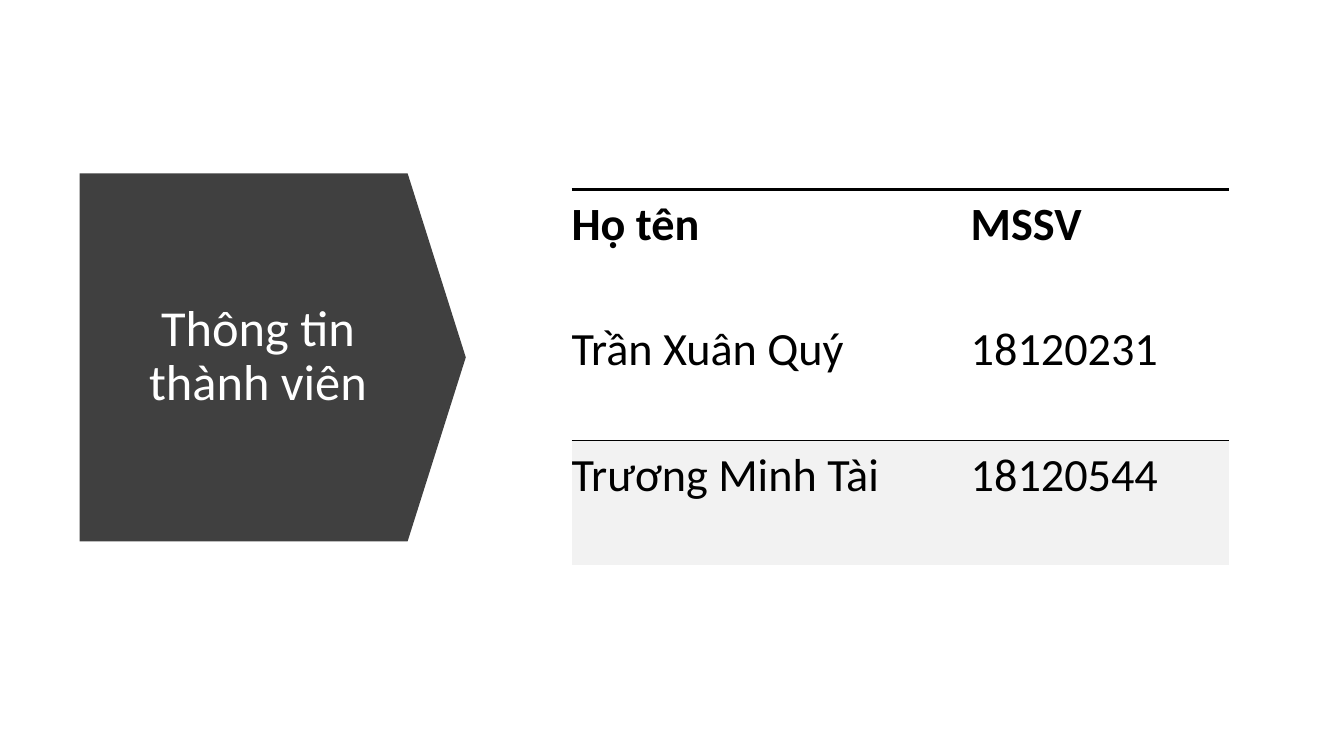
from dataclasses import dataclass
from typing import Any, NamedTuple

from lxml.etree import SubElement
from pptx import Presentation
from pptx.dml.color import RGBColor
from pptx.enum.shapes import MSO_SHAPE
from pptx.enum.text import MSO_ANCHOR, MSO_AUTO_SIZE, PP_ALIGN
from pptx.oxml.ns import qn
from pptx.util import Inches, Pt

WIDTH, HEIGHT = Inches(13.33), Inches(7.5)
NO_STYLE = "{2D5ABB26-0587-4C30-8999-92F81FD0307C}"


@dataclass(frozen=True)
class Theme:
    font: str = "Calibri"
    title_size: int = 36
    table_size: int = 33
    dark: str = "404040"
    light: str = "FFFFFF"
    ink: str = "000000"
    band: str = "F2F2F2"


class Box(NamedTuple):
    """Left, top, width and height in percent of the slide."""
    x: float
    y: float
    w: float
    h: float

    def emu(self) -> tuple[int, ...]:
        sides = (WIDTH, HEIGHT, WIDTH, HEIGHT)
        return tuple(round(v * side / 100) for v, side in zip(self, sides))


class Row(NamedTuple):
    texts: tuple[str, str]
    bold: bool = False
    fill: str | None = None
    top: float = 0
    bottom: float = 0


THEME = Theme()
ARROW = Box(6.6, 21.73, 27.38, 51.07)
TITLE = Box(8.4, 28.67, 21.6, 37.2)
TABLE = Box(42.53, 25.07, 48.9, 49.73)
COLUMNS = (29.7, 19.2)
ROWS = (
    Row(("Họ tên", "MSSV"), bold=True, top=2.25),
    Row(("Trần Xuân Quý", "18120231"), bottom=0.5),
    Row(("Trương Minh Tài", "18120544"), fill=THEME.band, top=0.5),
)
CELL_FORMAT = {
    "margin_left": 0,
    "margin_top": Inches(0.07),
    "margin_right": Inches(0.17),
    "margin_bottom": Inches(0.49),
}
TITLE_FORMAT = {
    "word_wrap": True,
    "auto_size": MSO_AUTO_SIZE.NONE,
    "vertical_anchor": MSO_ANCHOR.MIDDLE,
}


def apply(target: Any, values: dict[str, Any]) -> None:
    for name, value in values.items():
        setattr(target, name, value)


def write(tf: Any, text: str, size: int, color: str, bold: bool = False) -> Any:
    """Put one run into the first paragraph and return that paragraph."""
    p = tf.paragraphs[0]
    r = p.add_run()
    r.text = text
    apply(r.font, {"name": THEME.font, "size": Pt(size), "bold": bold})
    r.font.color.rgb = RGBColor.from_string(color)
    return p


def add_border(cell: Any, tag: str, width: float) -> None:
    ln = SubElement(cell._tc.get_or_add_tcPr(), qn(tag), w=str(Pt(width)))
    fill = SubElement(ln, qn("a:solidFill"))
    SubElement(fill, qn("a:srgbClr"), val=THEME.ink)


def add_arrow(s: Any) -> None:
    sp = s.shapes.add_shape(MSO_SHAPE.DOWN_ARROW, *ARROW.emu())
    sp.rotation = 270
    sp.adjustments[0], sp.adjustments[1] = 1, 0.158
    sp.shadow.inherit = False
    sp.fill.solid()
    sp.fill.fore_color.rgb = RGBColor.from_string(THEME.dark)
    sp.line.fill.background()


def set_title(s: Any, text: str) -> None:
    """Format the title and bring it in front of the arrow."""
    sp = s.shapes.title
    apply(sp, dict(zip(("left", "top", "width", "height"), TITLE.emu())))
    apply(sp.text_frame, TITLE_FORMAT)
    p = write(sp.text_frame, text, THEME.title_size, THEME.light)
    apply(p, {"alignment": PP_ALIGN.CENTER, "line_spacing": 0.9})
    s.shapes._spTree.append(sp._element)


def fill_cell(cell: Any, text: str, row: Row) -> None:
    apply(cell, CELL_FORMAT)
    write(cell.text_frame, text, THEME.table_size, THEME.ink, row.bold)
    for tag, width in (("a:lnT", row.top), ("a:lnB", row.bottom)):
        if width:
            add_border(cell, tag, width)
    if row.fill:
        cell.fill.solid()
        cell.fill.fore_color.rgb = RGBColor.from_string(row.fill)
    else:
        cell.fill.background()


def add_members(s: Any) -> None:
    table = s.shapes.add_table(len(ROWS), len(COLUMNS), *TABLE.emu()).table
    apply(table, {"first_row": False, "horz_banding": False})
    table._tbl.tblPr.find(qn("a:tableStyleId")).text = NO_STYLE
    for column, share in zip(table.columns, COLUMNS):
        column.width = round(WIDTH * share / 100)
    for i, row in enumerate(ROWS):
        for j, text in enumerate(row.texts):
            fill_cell(table.cell(i, j), text, row)


def main() -> None:
    prs = Presentation()
    apply(prs, {"slide_width": WIDTH, "slide_height": HEIGHT})
    s = prs.slides.add_slide(prs.slide_layouts.get_by_name("Title Only"))
    add_arrow(s)
    set_title(s, "Thông tin thành viên")
    add_members(s)
    prs.save("out.pptx")


if __name__ == "__main__":
    main()
